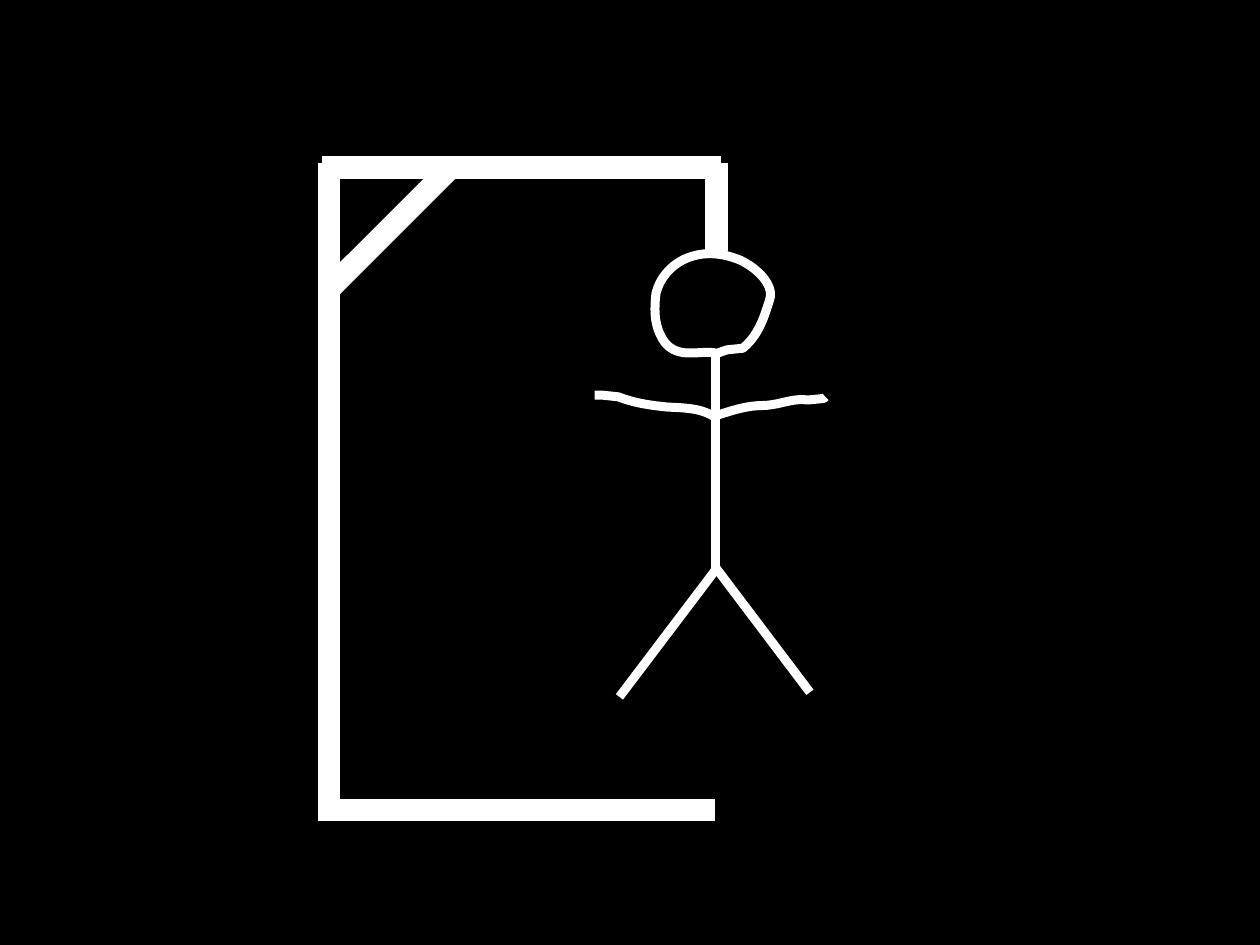
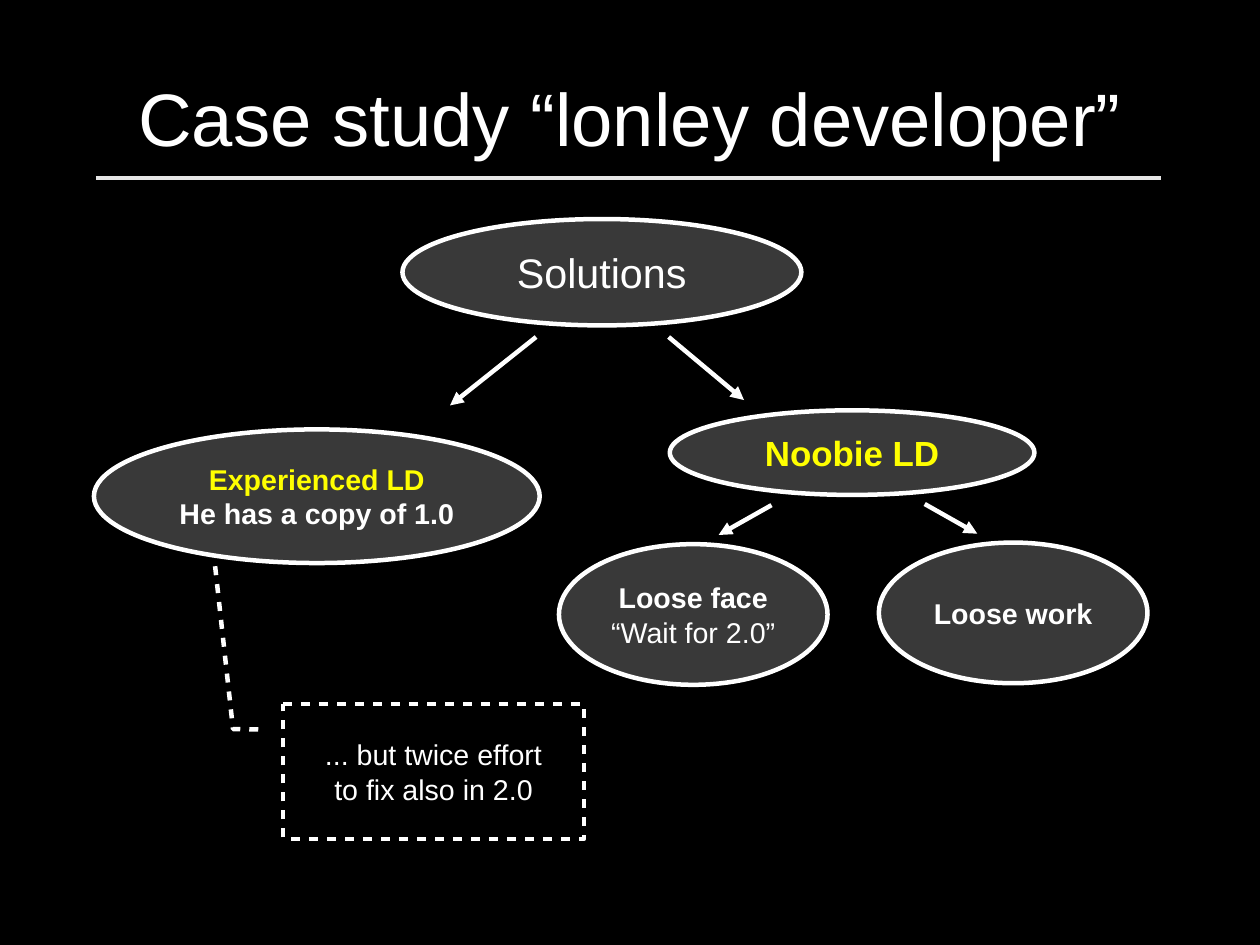
import dataclasses

import pptx
import pptx.dml.color
import pptx.enum.shapes
import pptx.enum.text
import pptx.oxml
import pptx.oxml.ns
import pptx.util

Pt = pptx.util.Pt
RGB = pptx.dml.color.RGBColor.from_string
SHAPE = pptx.enum.shapes.MSO_SHAPE
qn = pptx.oxml.ns.qn


@dataclasses.dataclass(frozen=True)
class Theme:
    back: str = "000000"
    ink: str = "FFFFFF"
    accent: str = "FFFF00"
    rule: str = "E6E6E6"
    fill: str = "C0C0C0"
    fill_alpha: int = 30
    font: str = "Arial"
    title: float = 46.8
    large: float = 26
    medium: float = 22
    small: float = 18
    beam: float = 14.17
    limb: float = 5.67
    thin: float = 2.83


T = Theme()
SLIDE_SIZE = (793.7, 595.28)

BEAMS = [
    (207.2, 517, 207.2, 102.8),
    (203, 105.6, 454.2, 105.6),
    (207.2, 182.2, 285.1, 104.4),
    (451.2, 102.8, 451.2, 158.4),
    (201.6, 510.2, 450.5, 510.2),
]
LIMBS = [
    (450.6, 220.3, 450.6, 359.2),
    (390.2, 439, 450.6, 359.2),
    (450, 356.4, 510.2, 436.1),
]
LEFT_ARM = [(450.6, 263), (442, 257, 431, 257, 421, 256.5),
            (410.5, 255.5, 399.5, 254, 389.5, 250), (380, 249), (374.5, 249)]
RIGHT_ARM = [(450.6, 262), (460, 259, 470, 255.5, 480, 255.5),
             (490.5, 255.5, 499, 250.5, 509, 252), (519, 251), (520, 250)]
HEAD = [(450, 222.2), (439, 221, 427.5, 226, 419, 216),
        (412, 206.5, 412, 196, 413.2, 185), (416, 173, 426, 164, 437, 161.2),
        (446.5, 158.5, 457, 160, 466.5, 164), (476, 168.5, 489, 179.5, 484.5, 190),
        (481, 201, 477.5, 211.5, 468, 219.4), (458, 220.4), (450.5, 223)]

TITLE = ("Case study “lonley developer”", T.title, T.ink, False)
TITLE_BOX = (39.6, 23.8, 714.2, 99.4)
TITLE_RULE = (60.4, 112.1, 731.4, 112.1)
BUBBLES = [
    ((253.5, 138, 251.3, 67), [("Solutions", T.large, T.ink, False)]),
    ((59.2, 270.5, 280.8, 84.2), [("Experienced LD", T.small, T.accent, True),
                                  ("He has a copy of 1.0", T.small, T.ink, True)]),
    ((421.9, 258.5, 229.7, 53.3), [("Noobie LD", T.medium, T.accent, True)]),
    ((553.6, 341.8, 169.2, 88.6), [("Loose work", T.small, T.ink, True)]),
    ((352.1, 342.8, 169.2, 88.6), [("Loose face", T.small, T.ink, True),
                                   ("“Wait for 2.0”", T.small, T.ink, False)]),
]
ARROWS = [
    (337.7, 212.3, 283.5, 255.4),
    (421.2, 212.3, 468.7, 252),
    (486, 318.2, 452.7, 337),
    (582.5, 317.5, 615.6, 336.2),
]
NOTE_BOX = (178.4, 443.5, 189.4, 85)
NOTE_POINTER = (0.188, -0.083, 0.185, -0.167, -1.031, -0.227)
NOTE = [("... but twice effort", T.small, T.ink, False),
        ("to fix also in 2.0", T.small, T.ink, False)]


def add_child(parent, tag, **attrs):
    el = pptx.oxml.parse_xml(f"<a:{tag} {pptx.oxml.ns.nsdecls('a')}/>")
    for name, value in attrs.items():
        el.set(name, str(value))
    parent.append(el)
    return el


def style_line(sp, width, color=T.ink):
    sp.line.color.rgb = RGB(color)
    sp.line.width = Pt(width)
    return sp.line._get_or_add_ln()


def add_line(s, ends, width, color=T.ink, arrow=False):
    sp = s.shapes.add_connector(pptx.enum.shapes.MSO_CONNECTOR.STRAIGHT, *map(Pt, ends))
    ln = style_line(sp, width, color)
    if arrow:
        add_child(ln, "tailEnd", type="triangle")
    add_child(sp._element.spPr, "effectLst")


def trace(outline, steps=10):
    points = [outline[0]]
    for part in outline[1:]:
        if len(part) == 2:
            points.append(part)
            continue
        ctrl = [points[-1], part[:2], part[2:4], part[4:]]
        for i in range(1, steps + 1):
            t = i / steps
            weights = ((1 - t) ** 3, 3 * t * (1 - t) ** 2, 3 * t * t * (1 - t), t ** 3)
            points.append(tuple(sum(w * c[k] for w, c in zip(weights, ctrl)) for k in (0, 1)))
    return [(Pt(x), Pt(y)) for x, y in points]


def add_stroke(s, outline, close=False):
    points = trace(outline)
    builder = s.shapes.build_freeform(*points[0])
    builder.add_line_segments(points[1:], close=close)
    sp = builder.convert_to_shape()
    sp.shadow.inherit = False
    sp.fill.background()
    style_line(sp, T.limb)


def write(sp, lines, margins=(0, 0), wrap=False):
    tf = sp.text_frame
    tf.word_wrap = wrap
    tf.vertical_anchor = pptx.enum.text.MSO_ANCHOR.MIDDLE
    tf.margin_left = tf.margin_right = Pt(margins[0])
    tf.margin_top = tf.margin_bottom = Pt(margins[1])
    tf.text = "\n".join(line[0] for line in lines)
    for p, (_, size, color, bold) in zip(tf.paragraphs, lines):
        p.alignment = pptx.enum.text.PP_ALIGN.CENTER
        font = p.runs[0].font
        font.name, font.size, font.bold = T.font, Pt(size), bold
        font.color.rgb = RGB(color)


def add_node(s, kind, box, lines):
    sp = s.shapes.add_shape(kind, *map(Pt, box))
    sp.shadow.inherit = False
    style_line(sp, T.thin)
    write(sp, lines, margins=(8.5, 5))
    return sp


def add_bubble(s, box, lines):
    sp = add_node(s, SHAPE.OVAL, box, lines)
    sp.fill.solid()
    sp.fill.fore_color.rgb = RGB(T.fill)
    color = sp._element.spPr.find(qn("a:solidFill"))[0]
    add_child(color, "alpha", val=T.fill_alpha * 1000)


def add_note(s):
    sp = add_node(s, SHAPE.LINE_CALLOUT_2, NOTE_BOX, NOTE)
    sp.fill.background()
    for i, value in enumerate(NOTE_POINTER):
        sp.adjustments[i] = value
    dash = add_child(sp.line._get_or_add_ln(), "custDash")
    add_child(dash, "ds", d=200000, sp=200000)


def build_hangman(s):
    for ends in BEAMS:
        add_line(s, ends, T.beam)
    for ends in LIMBS:
        add_line(s, ends, T.limb)
    add_stroke(s, LEFT_ARM)
    add_stroke(s, RIGHT_ARM)
    add_stroke(s, HEAD, close=True)


def build_case_study(s):
    write(s.shapes.add_textbox(*map(Pt, TITLE_BOX)), [TITLE], wrap=True)
    add_line(s, TITLE_RULE, T.thin, T.rule)
    for box, lines in BUBBLES:
        add_bubble(s, box, lines)
    for ends in ARROWS:
        add_line(s, ends, T.thin, arrow=True)
    add_note(s)


def main():
    prs = pptx.Presentation()
    prs.slide_width, prs.slide_height = map(Pt, SLIDE_SIZE)
    back = prs.slide_master.background.fill
    back.solid()
    back.fore_color.rgb = RGB(T.back)
    for build in (build_hangman, build_case_study):
        build(prs.slides.add_slide(prs.slide_layouts[6]))
    prs.save("out.pptx")


if __name__ == "__main__":
    main()
